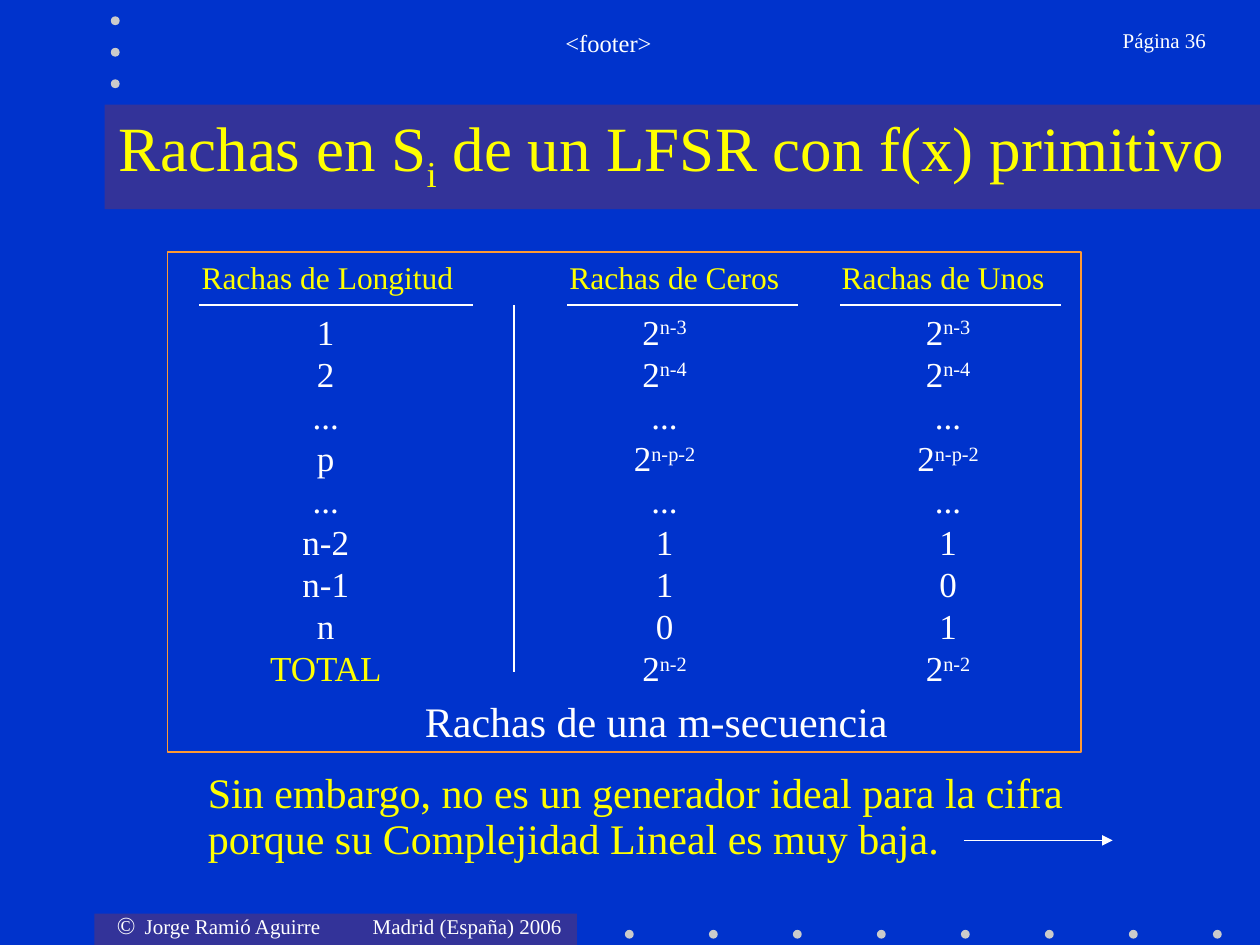
"""Build the slide on run lengths of an LFSR with a primitive polynomial."""
import pptx
import pptx.dml.color
import pptx.enum.shapes
import pptx.enum.text
import pptx.oxml.ns
import pptx.util
from lxml import etree

Inches = pptx.util.Inches
Pt = pptx.util.Pt
SHAPE = pptx.enum.shapes.MSO_SHAPE
ALIGN = pptx.enum.text.PP_ALIGN
ANCHOR = pptx.enum.text.MSO_ANCHOR

FONT = "Times New Roman"
BLUE, INDIGO, GREY = "0033CC", "333399", "CBCBCB"
YELLOW, WHITE, ORANGE = "FFFF00", "FFFFFF", "FF9933"
NO_GRID_STYLE = "{2D5ABB26-0587-4C30-8999-92F81FD0307C}"

FRAME = (1.33, 2, 7.25, 3.97)
COLUMN_WIDTHS = (2.75, 2.39, 2.11)
HEADER_HEIGHT, ROW_HEIGHT = 0.48, 1 / 3
HEADERS = (("Rachas de Longitud", 0.27), ("Rachas de Ceros", 0.44), ("Rachas de Unos", 0.21))
ROWS = (
    ("1", "2^n-3", "2^n-3"),
    ("2", "2^n-4", "2^n-4"),
    ("...", "...", "..."),
    ("p", "2^n-p-2", "2^n-p-2"),
    ("...", "...", "..."),
    ("n-2", "1", "1"),
    ("n-1", "1", "0"),
    ("n", "0", "1"),
    ("TOTAL", "2^n-2", "2^n-2"),
)


def rgb(value):
    """Return the colour for a hex string."""
    return pptx.dml.color.RGBColor.from_string(value)


def add_properties(element, tag, **attributes):
    """Append a child element with the given attributes."""
    return etree.SubElement(element, pptx.oxml.ns.qn(tag), **attributes)


def write_run(paragraph, text, size, color, baseline=0):
    """Add a formatted run, raised or lowered by a percentage."""
    run = paragraph.add_run()
    run.text = text
    run.font.name = FONT
    run.font.size = Pt(size)
    run.font.color.rgb = rgb(color)
    if baseline:
        run.font._element.set("baseline", str(baseline * 1000))


def place(shape, left, top, width, height):
    """Move and size a shape in inches."""
    shape.left, shape.top = Inches(left), Inches(top)
    shape.width, shape.height = Inches(width), Inches(height)


def add_box(slide, kind, box, fill=None, line=None):
    """Add a preset shape with an optional fill and outline."""
    shape = slide.shapes.add_shape(kind, *map(Inches, box))
    shape.shadow.inherit = False
    if fill:
        shape.fill.solid()
        shape.fill.fore_color.rgb = rgb(fill)
    else:
        shape.fill.background()
    if line:
        shape.line.color.rgb = rgb(line)
        shape.line.width = Pt(1)
    else:
        shape.line.fill.background()


def add_line(slide, start, end, width=0.75, arrow=False):
    """Add a white straight line, with an arrowhead if asked."""
    connector = slide.shapes.add_connector(
        pptx.enum.shapes.MSO_CONNECTOR.STRAIGHT, *map(Inches, start + end))
    connector.line.color.rgb = rgb(WHITE)
    connector.line.width = Pt(width)
    if arrow:
        add_properties(connector.line._get_or_add_ln(), "a:tailEnd", type="triangle")
    add_properties(connector.element.spPr, "a:effectLst")


def add_label(slide, box, runs, align=ALIGN.LEFT, anchor=ANCHOR.TOP, tabs=()):
    """Add a one-paragraph white text box."""
    text_frame = slide.shapes.add_textbox(*map(Inches, box)).text_frame
    text_frame.word_wrap = True
    text_frame.vertical_anchor = anchor
    paragraph = text_frame.paragraphs[0]
    paragraph.alignment = align
    if tabs:
        tab_list = add_properties(paragraph._p.get_or_add_pPr(), "a:tabLst")
        for position in tabs:
            add_properties(tab_list, "a:tab", pos=str(Inches(position)), algn="l")
    for text, size in runs:
        write_run(paragraph, text, size, WHITE)


def add_decoration(slide):
    """Add the indigo bars and the rows of grey dots."""
    add_box(slide, SHAPE.RECTANGLE, (0.75, 7.25, 3.83, 0.25), INDIGO)
    add_box(slide, SHAPE.RECTANGLE, (0.83, 0.83, 9.17, 0.83), INDIGO)
    dots = [(4.96 + index * 2 / 3, 7.38) for index in range(8)]
    dots += [(0.88, 0.13 + index * 0.25) for index in range(3)]
    for left, top in dots:
        add_box(slide, SHAPE.OVAL, (left, top, 0.07, 0.07), GREY)


def fill_cell(cell, text, size, color, align, left=0, right=0, bottom=0):
    """Write a cell, raising whatever follows a caret."""
    cell.fill.background()
    cell.vertical_anchor = ANCHOR.MIDDLE
    cell.margin_left, cell.margin_right = Inches(left), Inches(right)
    cell.margin_top, cell.margin_bottom = 0, Inches(bottom)
    paragraph = cell.text_frame.paragraphs[0]
    paragraph.alignment = align
    base, _, exponent = text.partition("^")
    write_run(paragraph, base, size, color)
    if exponent:
        write_run(paragraph, exponent, size, color, 30)


def add_run_table(slide):
    """Add the table of runs by length."""
    left, top, width, _ = FRAME
    height = HEADER_HEIGHT + len(ROWS) * ROW_HEIGHT
    graphic_frame = slide.shapes.add_table(
        len(ROWS) + 1, len(HEADERS), *map(Inches, (left, top, width, height)))
    graphic_frame.element.xpath(".//a:tableStyleId")[0].text = NO_GRID_STYLE
    table = graphic_frame.table
    table.first_row = table.horz_banding = False
    for column, column_width in zip(table.columns, COLUMN_WIDTHS):
        column.width = Inches(column_width)
    for index, row in enumerate(table.rows):
        row.height = Inches(ROW_HEIGHT if index else HEADER_HEIGHT)
    for column, (text, margin) in enumerate(HEADERS):
        fill_cell(table.cell(0, column), text, 18, YELLOW, ALIGN.LEFT, margin, bottom=0.05)
    for row, values in enumerate(ROWS, 1):
        for column, text in enumerate(values):
            color = YELLOW if text == "TOTAL" else WHITE
            right = 0 if column else 0.24
            fill_cell(table.cell(row, column), text, 20, color, ALIGN.CENTER, right=right)


def fill_title(title):
    """Place and write the title."""
    place(title, 0.83, 0.83, 9, 0.75)
    title.text_frame.auto_size = pptx.enum.text.MSO_AUTO_SIZE.NONE
    title.text_frame.vertical_anchor = ANCHOR.MIDDLE
    paragraph = title.text_frame.paragraphs[0]
    paragraph.alignment = ALIGN.CENTER
    for text, baseline in (("Rachas en S", 0), ("i", -25), (" de un LFSR con f(x) primitivo", 0)):
        write_run(paragraph, text, 36, YELLOW, baseline)


def fill_body(body):
    """Place and write the closing remark."""
    place(body, 1.55, 6.08, 7.04, 0.83)
    body.text_frame.auto_size = pptx.enum.text.MSO_AUTO_SIZE.NONE
    paragraph = body.text_frame.paragraphs[0]
    properties = paragraph._p.get_or_add_pPr()
    properties.set("marL", "0")
    properties.set("indent", "0")
    add_properties(properties, "a:buNone")
    paragraph.line_spacing = 0.9
    paragraph.space_before = Pt(0)
    write_run(paragraph, "Sin embargo, no es un generador ideal para la cifra "
              "porque su Complejidad Lineal es muy baja.", 24, YELLOW)


def main():
    """Assemble and save the slide."""
    presentation = pptx.Presentation()
    presentation.slide_width, presentation.slide_height = Inches(10), Inches(7.5)
    slide = presentation.slides.add_slide(presentation.slide_layouts[1])
    slide.background.fill.solid()
    slide.background.fill.fore_color.rgb = rgb(BLUE)
    title, body = slide.placeholders
    add_decoration(slide)
    add_label(slide, (0.83, 7.17, 3.74, 0.34),
              (("©", 14), ("\tJorge Ramió Aguirre\tMadrid (España) 2006", 12)), tabs=(0.22, 2.03))
    add_label(slide, (1.58, 0.17, 6.5, 0.5), (("<footer>", 14),), ALIGN.CENTER)
    add_label(slide, (8.3, 0.17, 1.37, 0.5), (("Página 36", 12),), ALIGN.RIGHT)
    fill_body(body)
    add_run_table(slide)
    add_label(slide, (3.11, 5.47, 4.2, 0.5), (("Rachas de una m-secuencia", 24),),
              ALIGN.CENTER, ANCHOR.MIDDLE)
    for start, end in ((1.58, 3.75), (4.5, 6.33), (6.67, 8.42)):
        add_line(slide, (start, 2.42), (end, 2.42))
    add_line(slide, (4.08, 2.42), (4.08, 5.33))
    fill_title(title)
    slide.shapes.element.append(title.element)
    add_line(slide, (7.65, 6.67), (8.83, 6.67), 1, arrow=True)
    add_box(slide, SHAPE.RECTANGLE, FRAME, line=ORANGE)
    presentation.save("out.pptx")


if __name__ == "__main__":
    main()
